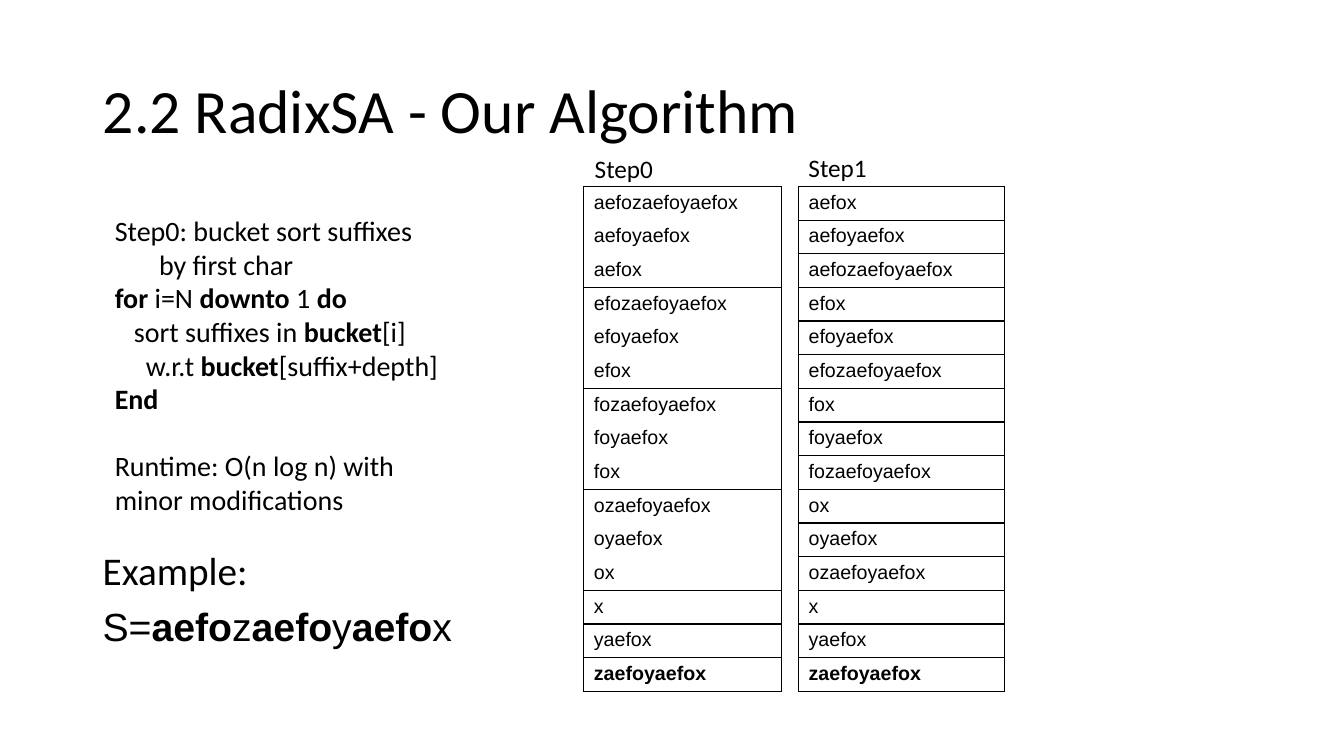
import pptx
import pptx.dml.color
import pptx.enum.text
import pptx.oxml
import pptx.oxml.ns
import pptx.util
from pptx.util import Inches

BLACK = pptx.dml.color.RGBColor(0, 0, 0)
WHITE = pptx.dml.color.RGBColor(255, 255, 255)
SOURCE_STRING = "aefozaefoyaefox"


class SlideBuilder:
    heading_font = "Calibri"
    table_font = "Arial"

    def __init__(self, presentation):
        self.slide = presentation.slides.add_slide(presentation.slide_layouts[5])

    def style(self, paragraph, size, font):
        for run in paragraph.runs:
            run.font.size = pptx.util.Pt(size)
            run.font.name = font
            run.font.color.rgb = BLACK

    def add_marked_runs(self, paragraph, marked_text, size, font):
        for index, part in enumerate(marked_text.split("**")):
            if part:
                run = paragraph.add_run()
                run.text = part
                run.font.bold = index % 2 == 1
        self.style(paragraph, size, font)

    def title(self, text, left, top, width, height):
        shape = self.slide.shapes.title
        shape.left, shape.top = Inches(left), Inches(top)
        shape.width, shape.height = Inches(width), Inches(height)
        frame = shape.text_frame
        frame.text = text
        frame.auto_size = pptx.enum.text.MSO_AUTO_SIZE.NONE
        frame.vertical_anchor = pptx.enum.text.MSO_ANCHOR.MIDDLE
        paragraph = frame.paragraphs[0]
        paragraph.alignment = pptx.enum.text.PP_ALIGN.LEFT
        paragraph.line_spacing = 0.9
        self.style(paragraph, 44, self.heading_font)

    def text_box(self, lines, left, top, width, height, size, wrap=False, line_spacing=None):
        shape = self.slide.shapes.add_textbox(
            Inches(left), Inches(top), Inches(width), Inches(height))
        frame = shape.text_frame
        frame.word_wrap = wrap
        for index, (text, indent, space_before, font) in enumerate(lines):
            paragraph = frame.add_paragraph() if index else frame.paragraphs[0]
            paragraph.space_before = pptx.util.Pt(space_before)
            paragraph.line_spacing = line_spacing
            if indent:
                paragraph._p.get_or_add_pPr().set("marL", str(Inches(indent)))
            self.add_marked_runs(paragraph, text, size, font)

    def border(self, side, visible):
        fill = '<a:solidFill><a:srgbClr val="000000"/></a:solidFill>' if visible else "<a:noFill/>"
        namespace = pptx.oxml.ns.nsdecls("a")
        return pptx.oxml.parse_xml(f'<a:ln{side} {namespace} w="12700">{fill}</a:ln{side}>')

    def suffix_table(self, suffixes, bucket_key, left, top, width, height):
        count = len(suffixes)
        table = self.slide.shapes.add_table(
            count, 1, Inches(left), Inches(top), Inches(width), Inches(height)).table
        table.first_row = table.horz_banding = False
        buckets = [bucket_key(suffix) for suffix in suffixes]
        for row, suffix in enumerate(suffixes):
            table.rows[row].height = Inches(height / count)
            cell = table.cell(row, 0)
            cell.text = suffix
            cell.vertical_anchor = pptx.enum.text.MSO_ANCHOR.TOP
            cell.fill.solid()
            cell.fill.fore_color.rgb = WHITE
            paragraph = cell.text_frame.paragraphs[0]
            self.style(paragraph, 14, self.table_font)
            paragraph.runs[0].font.bold = row == count - 1
            starts_bucket = row == 0 or buckets[row] != buckets[row - 1]
            ends_bucket = row == count - 1 or buckets[row] != buckets[row + 1]
            sides = {"L": True, "R": True, "T": starts_bucket, "B": ends_bucket}
            properties = cell._tc.get_or_add_tcPr()
            for position, (side, visible) in enumerate(sides.items()):
                properties.insert(position, self.border(side, visible))


def main():
    presentation = pptx.Presentation()
    presentation.slide_width = Inches(13.33)
    presentation.slide_height = Inches(7.5)
    builder = SlideBuilder(presentation)
    calibri, arial = builder.heading_font, builder.table_font

    builder.title("2.2 RadixSA - Our Algorithm", 0.92, 0.4, 11.5, 1.45)
    builder.text_box([
        ("Step0: bucket sort suffixes", 0, 0, calibri),
        ("by first char", 0.44, 0, calibri),
        ("**for **i=N **downto** 1 **do**", 0, 0, calibri),
        ("sort suffixes in **bucket**[i]", 0.19, 0, calibri),
        ("w.r.t **bucket**[suffix+depth]", 0.31, 0, calibri),
        ("**End**", 0, 0, calibri),
        ("Runtime: O(n log n) with", 0, 24, calibri),
        ("minor modifications", 0, 0, calibri),
    ], 1.04, 2.07, 3.44, 3.13, 20)
    builder.text_box([
        ("Example:", 0, 10, calibri),
        ("S=**aefo**z**aefo**y**aefo**x", 0, 10, arial),
    ], 0.92, 5.42, 4.63, 1.32, 28, wrap=True, line_spacing=0.9)

    suffixes = [SOURCE_STRING[start:] for start in range(len(SOURCE_STRING))]
    by_first_letter = sorted(suffixes, key=lambda suffix: suffix[0])
    builder.suffix_table(by_first_letter, lambda suffix: suffix[0], 5.79, 1.85, 1.96, 5)
    builder.suffix_table(sorted(suffixes), lambda suffix: suffix, 7.92, 1.85, 2.04, 5)
    for label, left, top in (("Step0", 5.8, 1.47), ("Step1", 7.92, 1.46)):
        builder.text_box([(label, 0, 0, calibri)], left, top, 0.79, 0.4, 18)

    presentation.save("out.pptx")


if __name__ == "__main__":
    main()
